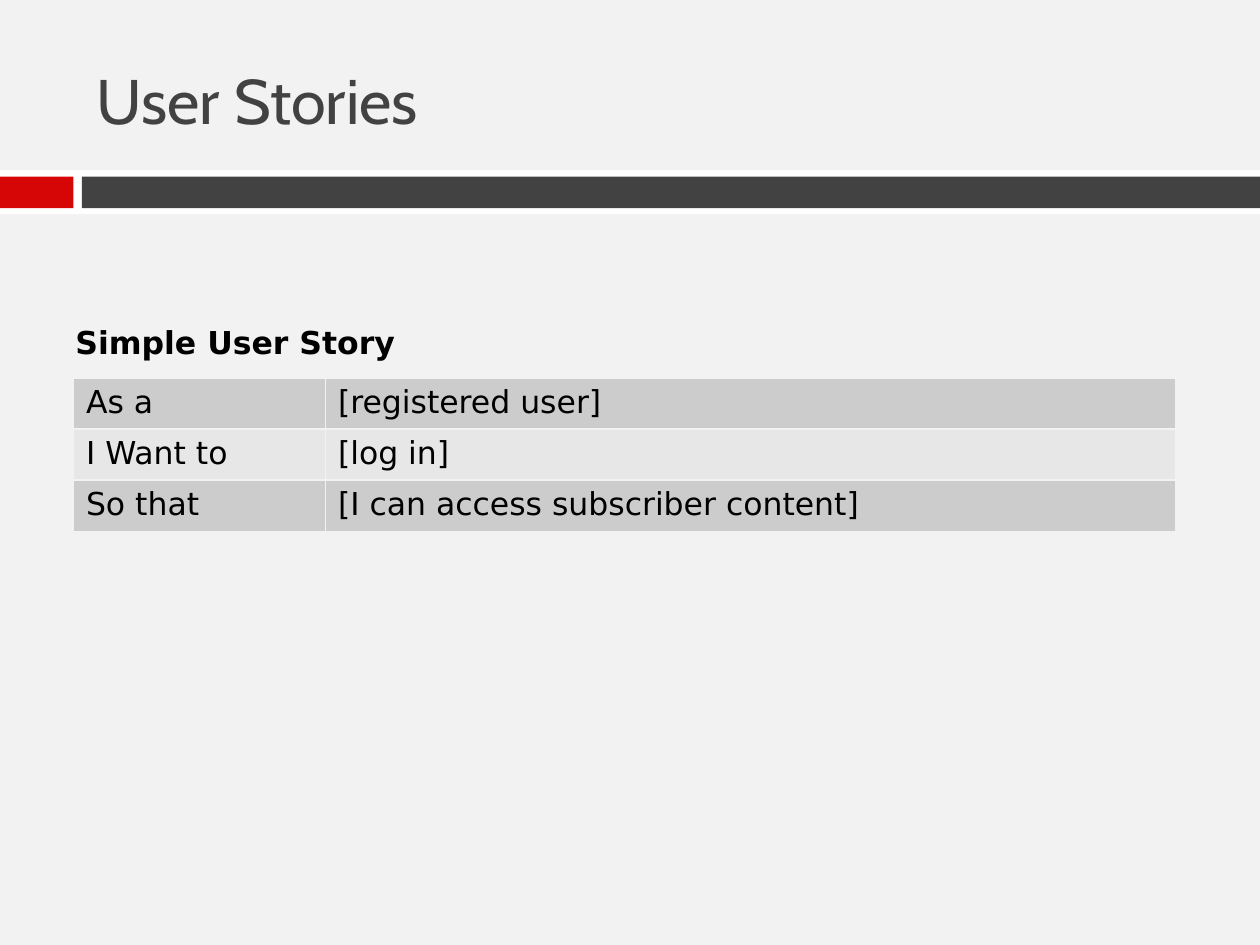
from dataclasses import dataclass

import pptx
import pptx.dml.color
import pptx.enum.shapes
import pptx.enum.text
import pptx.oxml
import pptx.oxml.ns
import pptx.util
from pptx.util import Cm

COLORS = {
    "background": "F2F2F2",
    "white": "FFFFFF",
    "red": "D70606",
    "charcoal": "424242",
    "black": "000000",
    "dark_row": "CCCCCC",
    "light_row": "E7E7E7",
}
TITLE_FONT, BODY_FONT = "Cabin", "DejaVu Sans"
STORY = [
    ("As a", "[registered user]"),
    ("I Want to", "[log in]"),
    ("So that", "[I can access subscriber content]"),
]


@dataclass
class Bar:
    left: float
    top: float
    width: float
    height: float
    color: str


BARS = [
    Bar(0, 3.43, 25.4, 0.89, "white"),
    Bar(0, 3.56, 1.48, 0.64, "red"),
    Bar(1.65, 3.56, 23.75, 0.64, "charcoal"),
]


def rgb(color: str) -> pptx.dml.color.RGBColor:
    return pptx.dml.color.RGBColor.from_string(COLORS[color])


def fill_solid(fill, color: str) -> None:
    fill.solid()
    fill.fore_color.rgb = rgb(color)


def format_text(tf, font: str, size: int, color: str, bold: bool = False) -> None:
    for p in tf.paragraphs:
        p.alignment = pptx.enum.text.PP_ALIGN.LEFT
        for r in p.runs:
            r.font.name = font
            r.font.size = pptx.util.Pt(size)
            r.font.bold = bold
            r.font.color.rgb = rgb(color)


def draw_bar(s, bar: Bar) -> None:
    sp = s.shapes.add_shape(
        pptx.enum.shapes.MSO_SHAPE.RECTANGLE,
        Cm(bar.left), Cm(bar.top), Cm(bar.width), Cm(bar.height),
    )
    sp.shadow.inherit = False
    fill_solid(sp.fill, bar.color)
    sp.line.fill.background()


def set_borders(cell, color: str, width: int) -> None:
    """Line all four sides; the lines must precede the fill in the cell's XML."""
    tc_pr = cell._tc.get_or_add_tcPr()
    for i, side in enumerate(("lnL", "lnR", "lnT", "lnB")):
        tc_pr.insert(i, pptx.oxml.parse_xml(
            f'<a:{side} {pptx.oxml.ns.nsdecls("a")} w="{pptx.util.Pt(width)}">'
            f'<a:solidFill><a:srgbClr val="{COLORS[color]}"/></a:solidFill></a:{side}>'
        ))


def draw_title(s, text: str) -> None:
    sp = s.shapes.title
    sp.left, sp.top, sp.width, sp.height = Cm(1.7), Cm(0.64), Cm(22.66), Cm(2.74)
    tf = sp.text_frame
    tf.text = text
    tf.vertical_anchor = pptx.enum.text.MSO_ANCHOR.MIDDLE
    format_text(tf, TITLE_FONT, 36, "charcoal")


def draw_caption(s, text: str) -> None:
    tf = s.shapes.add_textbox(Cm(1.27), Cm(6.38), Cm(6.96), Cm(1.03)).text_frame
    tf.text = text
    tf.word_wrap = False
    tf.auto_size = pptx.enum.text.MSO_AUTO_SIZE.SHAPE_TO_FIT_TEXT
    format_text(tf, BODY_FONT, 18, "black", bold=True)


def draw_table(s, rows: list[tuple[str, str]]) -> None:
    widths = (Cm(5.08), Cm(17.15))
    table = s.shapes.add_table(
        len(rows), len(widths), Cm(1.48), Cm(7.62), sum(widths), Cm(3.09)
    ).table
    table.first_row = False
    for column, width in zip(table.columns, widths):
        column.width = width
    for i, texts in enumerate(rows):
        for j, text in enumerate(texts):
            cell = table.cell(i, j)
            cell.text_frame.text = text
            format_text(cell.text_frame, BODY_FONT, 18, "black")
            fill_solid(cell.fill, "light_row" if i % 2 else "dark_row")
            set_borders(cell, "background", 1)


def main() -> None:
    prs = pptx.Presentation()
    prs.slide_width, prs.slide_height = Cm(25.4), Cm(19.05)
    s = prs.slides.add_slide(prs.slide_layouts[5])
    fill_solid(s.background.fill, "background")
    for bar in BARS:
        draw_bar(s, bar)
    draw_title(s, "User Stories")
    draw_caption(s, "Simple User Story")
    draw_table(s, STORY)
    prs.save("out.pptx")


if __name__ == "__main__":
    main()
